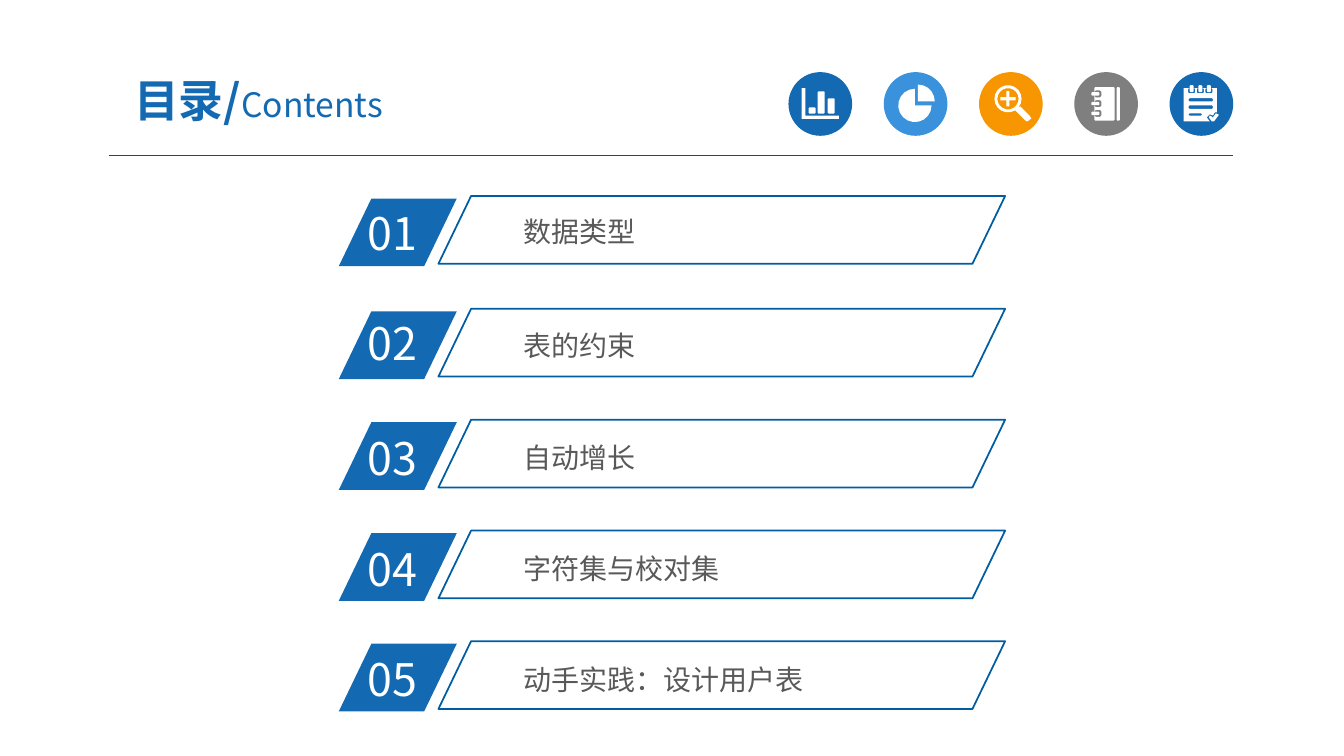
import dataclasses
import math

import lxml.etree
import pptx
import pptx.dml.color
import pptx.enum.shapes
import pptx.enum.text
import pptx.oxml.ns
import pptx.util

Pt = pptx.util.Pt
Kind = pptx.enum.shapes.MSO_SHAPE


@dataclasses.dataclass(frozen=True)
class Theme:
    """Colours, font and type sizes of the contents page."""
    blue: str = "1369B2"
    sky: str = "3992DB"
    orange: str = "F79600"
    grey: str = "7F7F7F"
    white: str = "FFFFFF"
    text: str = "595959"
    rule: str = "404040"
    frame: str = "005DA2"
    font: str = "Noto Sans CJK SC"
    title_size: float = 32
    subtitle_size: float = 24
    number_size: float = 32
    topic_size: float = 20


THEME = Theme()
DISC_LEFT, DISC_TOP, DISC_SIZE, DISC_PITCH = 563.2, 51.5, 45.5, 68.05
ROWS = [
    ("数据类型", 141.8, 143.3, 150.5),
    ("表的约束", 222.4, 221.8, 231.8),
    ("自动增长", 301.6, 303.8, 311.8),
    ("字符集与校对集", 380.8, 383.4, 391.1),
    ("动手实践：设计用户表", 459.8, 462.2, 470.3),
]


def color(code):
    """Turn a hex code into a colour."""
    return pptx.dml.color.RGBColor.from_string(code)


def arc(center_x, center_y, radius, start, end):
    """Return points along an arc, with angles in degrees clockwise from the right."""
    steps = math.ceil((end - start) / 20)
    angles = [math.radians(start + (end - start) * step / steps) for step in range(steps + 1)]
    return [(center_x + radius * math.cos(angle), center_y + radius * math.sin(angle))
            for angle in angles]


def bar(left, top, width, height, cut=0.6):
    """Return the outline of a rectangle with cut corners."""
    right, bottom = left + width, top + height
    return [(left, top + cut), (left + cut, top), (right - cut, top), (right, top + cut),
            (right, bottom - cut), (right - cut, bottom), (left + cut, bottom),
            (left, bottom - cut)]


def chart_icon():
    """Return the outlines of a column chart."""
    axes = [(9.4, 11.5), (12.2, 11.5), (12.2, 31), (36, 31), (36, 33.4), (9.4, 33.4)]
    columns = [(14.4, 25.2), (20.9, 13.7), (28.1, 18.7)]
    return [axes] + [bar(left, top, 5, 29.6 - top) for left, top in columns]


def pie_icon():
    """Return the outlines of a pie with one slice pulled out."""
    return [[(24.5, 20.9)] + arc(24.5, 20.9, 12, 270, 360),
            [(22.3, 23.8)] + arc(22.3, 23.8, 11.9, 0, 270)]


def magnifier_icon():
    """Return the outlines of a magnifier with a plus sign."""
    x, y, arm, half = 20.7, 19.1, 5.4, 1.1
    plus = [(x - arm, y - half), (x - half, y - half), (x - half, y - arm),
            (x + half, y - arm), (x + half, y - half), (x + arm, y - half),
            (x + arm, y + half), (x + half, y + half), (x + half, y + arm),
            (x - half, y + arm), (x - half, y + half), (x - arm, y + half)]
    handle = [(25.9, 27.4), (33.1, 34.6), (34.6, 35.3), (37.4, 33.1), (36, 31), (29.5, 24.5)]
    return [arc(x, y, 9.7, 0, 360), arc(x, y, 7.6, 0, 360), plus, handle]


def notebook_icon():
    """Return the outlines of a ring-bound notebook."""
    outlines = [bar(14.4, 10.8, 14.4, 23.8), bar(30.2, 10.8, 2.4, 23.8)]
    for middle in (15.6, 22.5, 29.5):
        outlines += [bar(14.4, middle - 2.5, 5, 5, 1), bar(12.2, middle - 1.2, 5.8, 2.4)]
    return outlines


def checklist_icon():
    """Return the outlines of a notepad with a tick."""
    sheet = [(10.1, 11.5), (33.8, 11.5), (33.8, 28.8), (32.4, 28.8), (31, 31),
             (28.8, 30.2), (26.6, 32.4), (28.8, 35.3), (10.1, 35.3)]
    tick = [(28.1, 32.4), (28.8, 31), (31, 32.4), (33.1, 29.5), (35.3, 30.5),
            (31.7, 35.3), (30.2, 35.3)]
    outlines = [sheet, tick, bar(13.7, 18.7, 17.3, 2.3), bar(13.7, 23.8, 17.3, 2.5),
                bar(13.7, 29.5, 9.4, 1.6)]
    for middle in (15.8, 22, 28.1):
        outlines += [bar(middle - 2.5, 11.5, 5, 3.6), bar(middle - 1.4, 9.4, 2.8, 5)]
    return outlines


def paint(shape, fill=None, line=None, weight=1.25):
    """Give a shape its fill and line, and take off its shadow."""
    shape.shadow.inherit = False
    if fill:
        shape.fill.solid()
        shape.fill.fore_color.rgb = color(fill)
    else:
        shape.fill.background()
    if line:
        shape.line.color.rgb = color(line)
        shape.line.width = Pt(weight)
    else:
        shape.line.fill.background()


def add_preset(page, kind, left, top, width, height, slant=None, **style):
    """Add a painted preset shape."""
    shape = page.shapes.add_shape(kind, Pt(left), Pt(top), Pt(width), Pt(height))
    if slant:
        shape.adjustments[0] = slant
    paint(shape, **style)


def add_icon(page, left, top, outlines, disc_color):
    """Add a coloured disc with a white symbol on it."""
    add_preset(page, Kind.OVAL, left, top, DISC_SIZE, DISC_SIZE, fill=disc_color)
    scaled = [[(x * 100, y * 100) for x, y in outline] for outline in outlines]
    builder = page.shapes.build_freeform(*scaled[0][0], scale=Pt(1) / 100)
    builder.add_line_segments(scaled[0][1:])
    for outline in scaled[1:]:
        builder.move_to(*outline[0])
        builder.add_line_segments(outline[1:])
    paint(builder.convert_to_shape(Pt(left), Pt(top)), fill=THEME.white)


def add_rule(page, left, right, top):
    """Add the thin line under the heading."""
    rule = page.shapes.add_connector(pptx.enum.shapes.MSO_CONNECTOR.STRAIGHT,
                                     Pt(left), Pt(top), Pt(right), Pt(top))
    rule.line.color.rgb = color(THEME.rule)
    rule.line.width = Pt(0.75)
    lxml.etree.SubElement(rule._element.spPr, pptx.oxml.ns.qn("a:effectLst"))


def add_span(para, text, size, ink, bold=False):
    """Add one formatted run of text to a paragraph."""
    span = para.add_run()
    span.text = text
    span.font.size = Pt(size)
    span.font.bold = bold
    span.font.color.rgb = color(ink)
    span.font.name = THEME.font
    east_asian = lxml.etree.SubElement(span.font._element, pptx.oxml.ns.qn("a:ea"))
    east_asian.set("typeface", THEME.font)


def add_box(page, left, top, width, height, inset=(7.2, 3.6), middle=False):
    """Add a text box and return its first paragraph."""
    frame = page.shapes.add_textbox(Pt(left), Pt(top), Pt(width), Pt(height)).text_frame
    frame.word_wrap = True
    frame.margin_left = frame.margin_right = Pt(inset[0])
    frame.margin_top = frame.margin_bottom = Pt(inset[1])
    para = frame.paragraphs[0]
    if middle:
        frame.vertical_anchor = pptx.enum.text.MSO_ANCHOR.MIDDLE
        para.alignment = pptx.enum.text.PP_ALIGN.CENTER
    return para


def add_row(page, number, topic, top, number_top, topic_top):
    """Add one numbered entry of the contents."""
    add_preset(page, Kind.PARALLELOGRAM, 242, top, 84.3, 48.4, slant=0.482, fill=THEME.blue)
    add_span(add_box(page, 255.5, number_top, 80.6, 46), f"{number:02d}",
             THEME.number_size, THEME.white)
    add_span(add_box(page, 368.8, topic_top, 300, 29.5, inset=(5, 2.9)), topic,
             THEME.topic_size, THEME.text)
    add_preset(page, Kind.PARALLELOGRAM, 313.2, top - 1.8, 404.8, 48.4, slant=0.482,
               line=THEME.frame)


def main():
    """Build the contents page and save it."""
    deck = pptx.Presentation()
    deck.slide_width, deck.slide_height = Pt(960), Pt(540)
    page = deck.slides.add_slide(deck.slide_layouts[6])
    add_rule(page, 77.8, 880.6, 111.2)
    icons = [(chart_icon, THEME.blue), (pie_icon, THEME.sky), (magnifier_icon, THEME.orange),
             (notebook_icon, THEME.grey), (checklist_icon, THEME.blue)]
    for index, (outlines, disc_color) in enumerate(icons):
        add_icon(page, DISC_LEFT + index * DISC_PITCH, DISC_TOP, outlines(), disc_color)
    title = add_box(page, 66.2, 45.4, 236.9, 51.8, inset=(9.4, 5), middle=True)
    add_span(title, "目录/", THEME.title_size, THEME.blue, bold=True)
    add_span(title, "Contents", THEME.subtitle_size, THEME.blue)
    for number, row in enumerate(ROWS, start=1):
        add_row(page, number, *row)
    deck.save("out.pptx")


if __name__ == "__main__":
    main()
